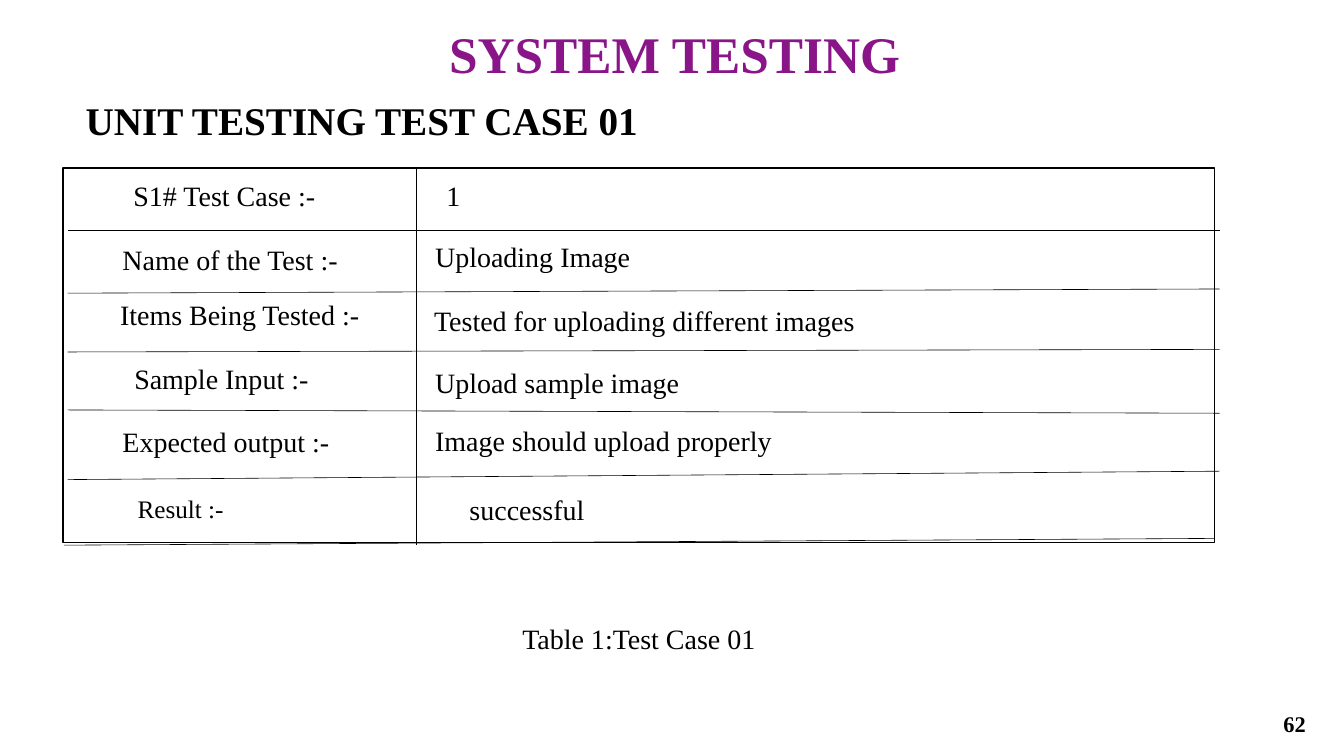
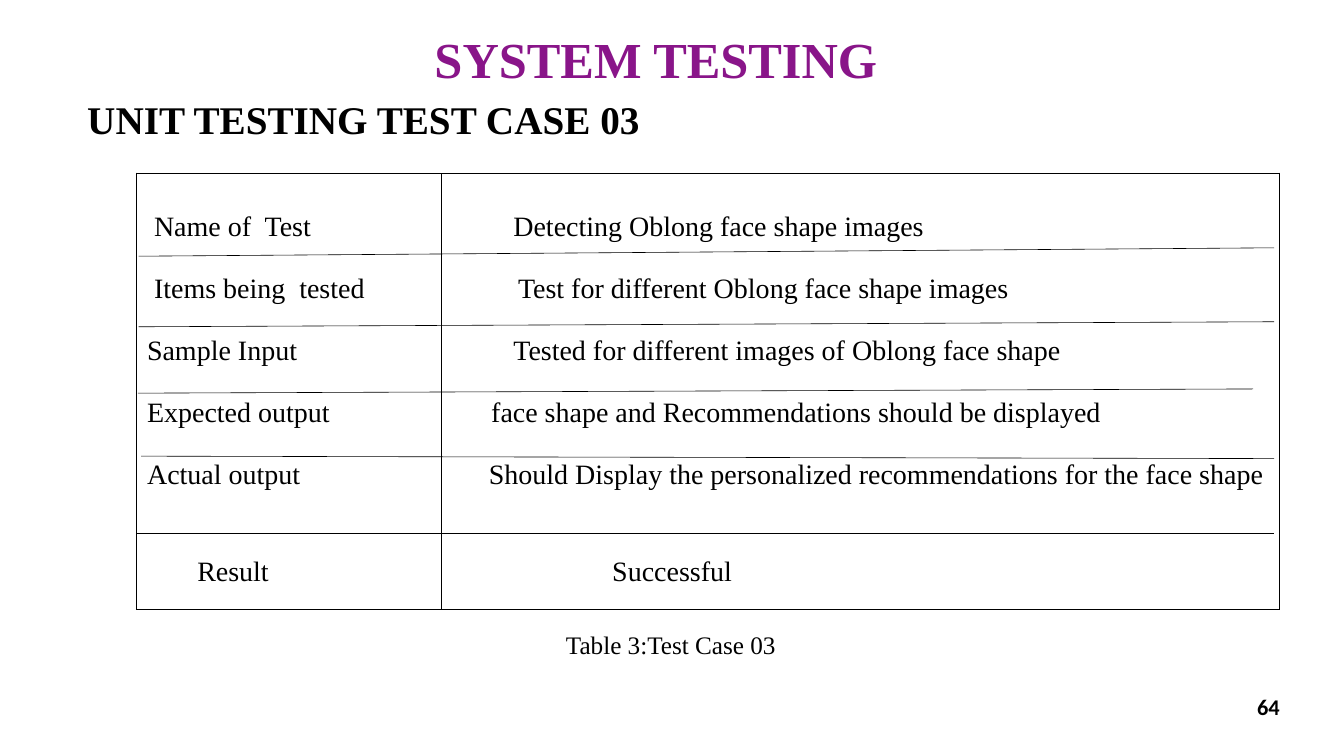
import lxml.etree
import pptx
import pptx.dml.color
import pptx.enum.shapes
import pptx.enum.text
import pptx.oxml.ns
import pptx.util

Pt = pptx.util.Pt
qn = pptx.oxml.ns.qn
ALIGN = pptx.enum.text.PP_ALIGN
ANCHOR = pptx.enum.text.MSO_ANCHOR

COLORS = {"title": "891589", "ink": "000000", "paper": "FFFFFF"}
SERIF = "Times New Roman"
BODY_SIZE = 24
CAPTION_SIZE = 21.6
TITLE_ONLY = 5
ROW_GAP = 26.6


def rgb(name):
    return pptx.dml.color.RGBColor.from_string(COLORS[name])


def style_runs(para, size, bold=False, color="ink", font=SERIF):
    for run in para.runs:
        run.font.name = font
        run.font.size = Pt(size)
        run.font.bold = bold
        run.font.color.rgb = rgb(color)


def add_tab_stop(para, position):
    properties = para._p.get_or_add_pPr()
    stops = lxml.etree.SubElement(properties, qn("a:tabLst"))
    lxml.etree.SubElement(stops, qn("a:tab"), pos=str(Pt(position)), algn="l")


def add_text(slide, text, left, top, width, height=36, size=BODY_SIZE,
             bold=False, font=SERIF, align=ALIGN.LEFT, anchor=ANCHOR.TOP, tab=None):
    box = slide.shapes.add_textbox(Pt(left), Pt(top), Pt(width), Pt(height))
    frame = box.text_frame
    frame.word_wrap = True
    frame.vertical_anchor = anchor
    frame.text = text
    para = frame.paragraphs[0]
    para.alignment = align
    if tab is not None:
        add_tab_stop(para, tab)
    style_runs(para, size, bold, font=font)


def add_line(slide, x1, y1, x2, y2):
    line = slide.shapes.add_connector(
        pptx.enum.shapes.MSO_CONNECTOR.STRAIGHT, Pt(x1), Pt(y1), Pt(x2), Pt(y2))
    line.line.color.rgb = rgb("ink")
    line.line.width = Pt(0.5)
    lxml.etree.SubElement(line._element.spPr, qn("a:effectLst"))


def add_frame(slide, left, top, width, height):
    frame = slide.shapes.add_shape(
        pptx.enum.shapes.MSO_SHAPE.RECTANGLE, Pt(left), Pt(top), Pt(width), Pt(height))
    frame.shadow.inherit = False
    frame.fill.solid()
    frame.fill.fore_color.rgb = rgb("paper")
    frame.line.color.rgb = rgb("ink")
    frame.line.width = Pt(1)


def add_cell_borders(cell):
    properties = cell._tc.get_or_add_tcPr()
    for index, side in enumerate(("a:lnL", "a:lnR", "a:lnT", "a:lnB")):
        border = lxml.etree.Element(qn(side), w=str(Pt(1)))
        fill = lxml.etree.SubElement(border, qn("a:solidFill"))
        lxml.etree.SubElement(fill, qn("a:srgbClr"), val=COLORS["ink"])
        properties.insert(index, border)


def add_one_cell_table(slide, rows, left, top, width, height):
    """Each row is a label, a value and the tab position of the value."""
    table = slide.shapes.add_table(
        1, 1, Pt(left), Pt(top), Pt(width), Pt(height)).table
    table.first_row = False
    table.horz_banding = False
    cell = table.cell(0, 0)
    cell.fill.background()
    add_cell_borders(cell)
    cell.margin_left = cell.margin_right = Pt(8.64)
    cell.margin_top = Pt(33)
    cell.margin_bottom = Pt(4.32)
    frame = cell.text_frame
    for index, (label, value, tab) in enumerate(rows):
        para = frame.add_paragraph() if index else frame.paragraphs[0]
        para.text = f"{label}\t{value}"
        if index:
            para.space_before = Pt(ROW_GAP)
        add_tab_stop(para, tab)
        style_runs(para, BODY_SIZE)


def add_test_slide(deck, title_place, title_size, heading, heading_place):
    slide = deck.slides.add_slide(deck.slide_layouts[TITLE_ONLY])
    title = slide.shapes.title
    title.left, title.top, title.width, title.height = map(Pt, title_place)
    frame = title.text_frame
    frame.text = "SYSTEM TESTING"
    frame.auto_size = pptx.enum.text.MSO_AUTO_SIZE.NONE
    frame.vertical_anchor = ANCHOR.BOTTOM
    para = frame.paragraphs[0]
    para.alignment = ALIGN.CENTER
    style_runs(para, title_size, True, "title")
    add_text(slide, heading, *heading_place, 503, 46, 33.6, True,
             anchor=ANCHOR.BOTTOM)
    return slide


def add_page_number(slide, number, left, top, font):
    add_text(slide, number, left, top, 65, 34, 19.2, True, font,
             ALIGN.RIGHT, ANCHOR.MIDDLE)


def add_first_case(deck):
    slide = add_test_slide(deck, (376, 19.5, 405, 56), 44,
                           "UNIT TESTING TEST CASE 01", (66.24, 80))
    add_frame(slide, 54, 144, 987, 321)
    for left_y, right_y in ((197.3, 197.3), (251.3, 247.7), (301.7, 299.5),
                            (351.4, 354.2), (411.1, 403.9)):
        add_line(slide, 58, left_y, 1045.5, right_y)
    add_line(slide, 54.7, 467.3, 1041, 461.5)
    add_line(slide, 356.4, 143.3, 356.4, 467.3)

    labels = (("S1# Test Case :-", 107.3, 149.8, BODY_SIZE),
              ("Name of the Test :-", 97.9, 204.5, BODY_SIZE),
              ("Items Being Tested :-", 95.8, 251.3, BODY_SIZE),
              ("Sample Input :-", 108, 306, BODY_SIZE),
              ("Expected output :-", 97.9, 360.7, BODY_SIZE),
              ("Result :-", 110.9, 419, CAPTION_SIZE))
    for text, left, top, size in labels:
        add_text(slide, text, left, top, 245, size=size)

    values = (("1", 375.6, 149.8),
              ("Uploading Image", 365.8, 201.6),
              ("Tested for uploading different images", 365, 256.3),
              ("Upload sample image", 365.8, 309.6),
              ("Image should upload properly", 365.8, 359.3),
              ("successful", 395.3, 418.3))
    for text, left, top in values:
        add_text(slide, text, left, top, 580)

    add_text(slide, "Table 1:Test Case 01", 440.6, 529.2, 220)
    add_page_number(slide, "62", 1061.3, 603.4, SERIF)


def add_third_case(deck):
    slide = add_test_slide(deck, (347, 25.2, 430.6, 54.7), 43.2,
                           "UNIT TESTING TEST CASE 03", (67.7, 79.3))
    rows = ((" Name of  Test", "Detecting Oblong face shape images", 314),
            (" Items being  tested", "Test for different Oblong face shape images", 318),
            ("Sample Input", "Tested for different images of Oblong face shape", 314),
            ("Expected output",
             "face shape and Recommendations should be displayed", 295),
            ("Actual output",
             "Should Display the personalized recommendations for the face shape", 293))
    add_one_cell_table(slide, rows, 117.4, 148.3, 979.2, 373.7)
    add_line(slide, 378, 149, 378, 522)
    for x1, y1, x2, y2 in ((118.8, 219.6, 1092.2, 212.4),
                           (118.8, 280.1, 1092.2, 275.8),
                           (118.1, 337, 1074.2, 333.4),
                           (121, 391, 1092.2, 393.1),
                           (117.4, 457.2, 1092.2, 457.2)):
        add_line(slide, x1, y1, x2, y2)
    add_text(slide, "Result\tSuccessful", 162, 470.9, 483, tab=355.7)
    add_text(slide, "Table 3:Test Case 03", 478, 535.7, 200, 33, CAPTION_SIZE)
    add_page_number(slide, "64", 1039, 588.5, "Calibri")


def main():
    deck = pptx.Presentation()
    deck.slide_width, deck.slide_height = Pt(1152), Pt(648)
    add_first_case(deck)
    add_third_case(deck)
    deck.save("out.pptx")


if __name__ == "__main__":
    main()
